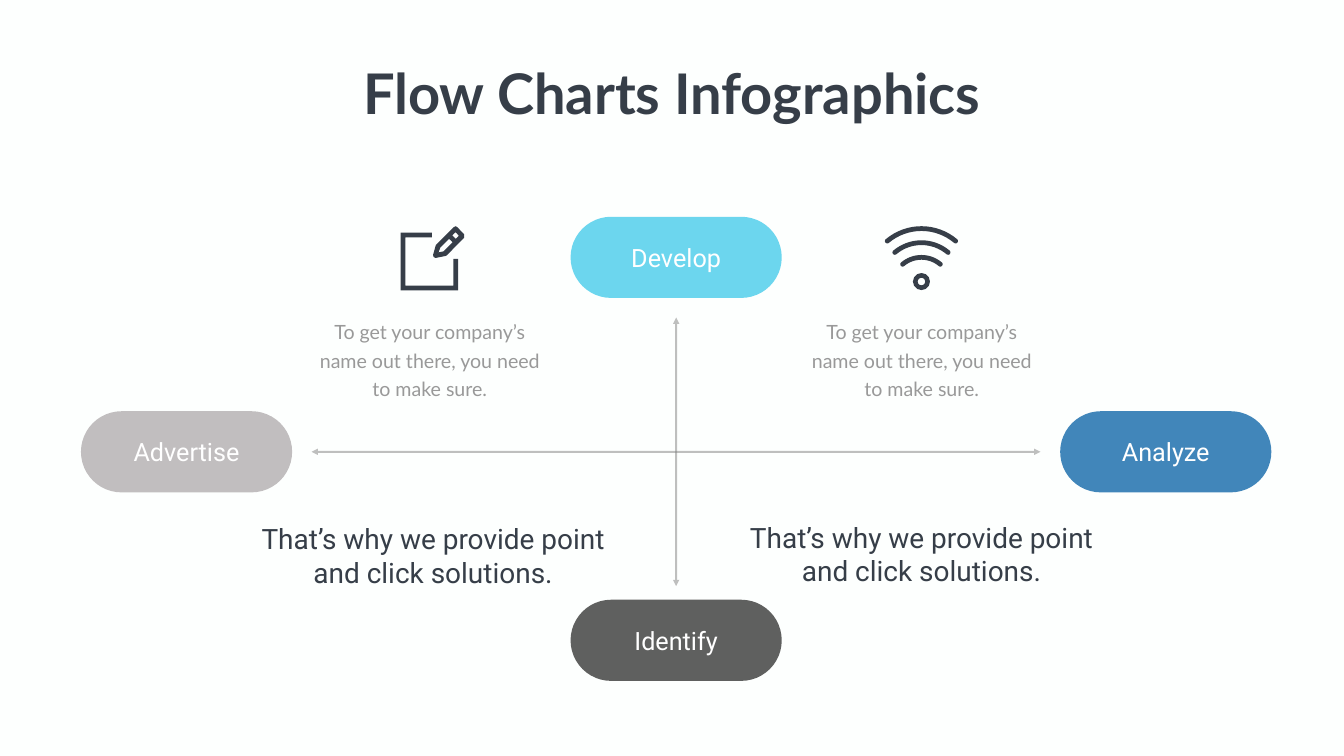
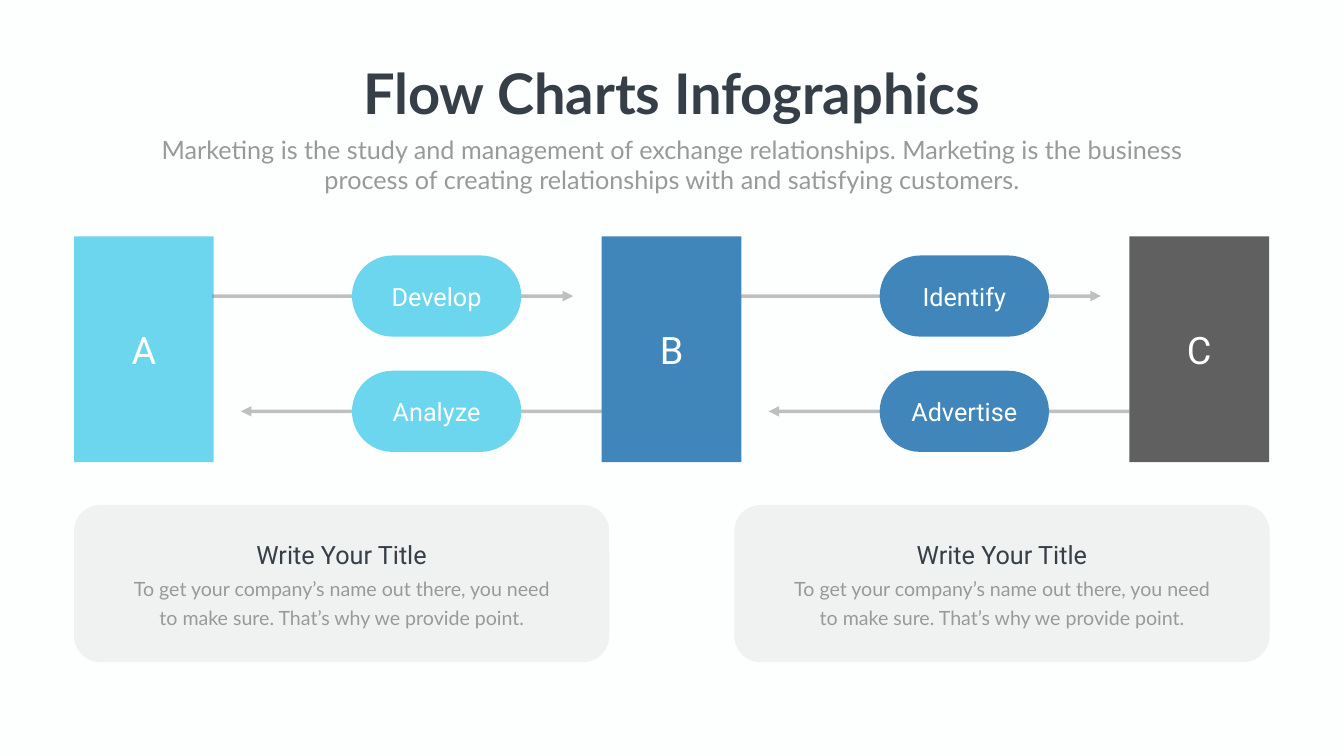
from math import cos, pi, sin

from lxml.etree import SubElement
from pptx import Presentation
from pptx.dml.color import RGBColor
from pptx.enum.shapes import MSO_CONNECTOR, MSO_SHAPE
from pptx.enum.text import MSO_ANCHOR, MSO_AUTO_SIZE, PP_ALIGN
from pptx.oxml.ns import qn
from pptx.util import Cm, Pt

# Shared style; all lengths are in centimetres
BACKGROUND = "FDFFFE"
DARK = "363E48"
MUTED = "999999"
WHITE = "FFFFFF"
NEUTRAL = "808080"
CYAN = "6CD6EE"
BLUE = "4186BA"
CHARCOAL = "5F605F"
SILVER = "C1BEBF"
HEADING_FONT = "Lato"
LABEL_FONT = "Roboto"
NOTE_SPACING = 40.8
PILL_HEIGHT = 4.09
STROKE = 0.24


def color(value):
    return RGBColor.from_string(value)


def set_alpha(properties, percent):
    """Make the solid fill inside the given XML element transparent."""
    color_element = properties.find(qn("a:solidFill"))[0]
    SubElement(color_element, qn("a:alpha"), val=str(percent * 1000))


def style_shape(shape, fill):
    shape.shadow.inherit = False
    shape.fill.solid()
    shape.fill.fore_color.rgb = color(fill)
    shape.line.fill.background()


def write(frame, text, size, font, text_color, bold=False, spacing=None):
    paragraph = frame.paragraphs[0]
    paragraph.text = text
    paragraph.alignment = PP_ALIGN.CENTER
    if spacing:
        paragraph.line_spacing = Pt(spacing)
    paragraph.font.size = Pt(size)
    paragraph.font.name = font
    paragraph.font.bold = bold
    paragraph.font.color.rgb = color(text_color)


def add_text(slide, left, top, width, height, text, size, font, text_color,
             bold=False, spacing=None, wrap=True):
    box = slide.shapes.add_textbox(Cm(left), Cm(top), Cm(width), Cm(height))
    box.text_frame.word_wrap = wrap
    box.text_frame.auto_size = MSO_AUTO_SIZE.SHAPE_TO_FIT_TEXT
    write(box.text_frame, text, size, font, text_color, bold, spacing)


def add_block(slide, kind, left, top, width, height, fill, label=None, size=36):
    shape = slide.shapes.add_shape(kind, Cm(left), Cm(top), Cm(width), Cm(height))
    style_shape(shape, fill)
    if label:
        shape.text_frame.vertical_anchor = MSO_ANCHOR.MIDDLE
        write(shape.text_frame, label, size, LABEL_FONT, WHITE)
    return shape


def add_pill(slide, center_x, center_y, width, fill, label):
    pill = add_block(slide, MSO_SHAPE.ROUNDED_RECTANGLE, center_x - width / 2,
                     center_y - PILL_HEIGHT / 2, width, PILL_HEIGHT, fill, label)
    pill.adjustments[0] = 0.5


def add_arrow(slide, start, end, width, both_ends=False):
    arrow = slide.shapes.add_connector(
        MSO_CONNECTOR.STRAIGHT, *(Cm(value) for value in start + end))
    arrow.line.width = Pt(width)
    arrow.line.color.rgb = color(NEUTRAL)
    line = arrow.line._get_or_add_ln()
    set_alpha(line, 50)
    if both_ends:
        SubElement(line, qn("a:headEnd"), type="triangle")
    SubElement(line, qn("a:tailEnd"), type="triangle")
    SubElement(arrow._element.spPr, qn("a:effectLst"))


def add_outline(slide, left, top, contours):
    """Draw closed contours as one dark shape; inner contours are holes."""
    contours = [[(Cm(x), Cm(y)) for x, y in contour] for contour in contours]
    builder = slide.shapes.build_freeform(*contours[0][0], scale=1.0)
    for index, contour in enumerate(contours):
        if index:
            builder.move_to(*contour[0])
        builder.add_line_segments(contour[1:], close=True)
    style_shape(builder.convert_to_shape(Cm(left), Cm(top)), DARK)


def arc_points(center_x, center_y, radius, start, end, steps=16):
    """Points on a circle, with angles measured clockwise from the top."""
    angles = [start + (end - start) * step / steps for step in range(steps + 1)]
    return [(center_x + radius * sin(angle), center_y - radius * cos(angle))
            for angle in angles]


def add_edit_icon(slide, left, top):
    far, inner = 2.9, 2.9 - STROKE
    frame = [(0, 0), (1.57, 0), (1.57, STROKE), (STROKE, STROKE), (STROKE, inner),
             (inner, inner), (inner, 1.32), (far, 1.32), (far, far), (0, far)]
    pencil = [(1.14, 0), (1.22, 0.05), (1.57, 0.41), (1.57, 0.58), (0.69, 1.47),
              (0.64, 1.5), (0.13, 1.6), (0.03, 1.55), (0, 1.45), (0.13, 0.99),
              (0.15, 0.94), (1.04, 0.05)]
    eraser_hole = [(1.14, 0.64), (0.97, 0.46), (1.14, 0.3), (1.3, 0.48)]
    body_hole = [(0.53, 1.27), (0.28, 1.32), (0.36, 1.09), (0.81, 0.64), (0.99, 0.81)]
    add_outline(slide, left, top, [frame])
    add_outline(slide, left + 1.63, top - 0.33, [pencil, eraser_hole, body_hole])


def add_signal_icon(slide, center_x, top):
    spread, half = 0.7, STROKE / 2
    for offset, radius in ((0, 2.67), (0.71, 2.08), (1.45, 1.47)):
        center_y = half + offset + radius
        left_end, right_end = arc_points(0, center_y, radius, -spread, spread, 1)
        band = (arc_points(0, center_y, radius + half, -spread, spread)
                + arc_points(*right_end, half, spread, spread + pi)
                + arc_points(0, center_y, radius - half, spread, -spread)
                + arc_points(*left_end, half, pi - spread, 2 * pi - spread))
        add_outline(slide, center_x, top, [band])
    ring_size = 0.86
    ring = add_block(slide, MSO_SHAPE.DONUT, center_x - ring_size / 2, top + 2.36,
                     ring_size, ring_size, DARK)
    ring.adjustments[0] = STROKE / ring_size


def add_slide(presentation):
    """Start a blank slide with the shared background and title."""
    slide = presentation.slides.add_slide(presentation.slide_layouts[6])
    slide.background.fill.solid()
    slide.background.fill.fore_color.rgb = color(BACKGROUND)
    add_text(slide, 17.73, 2.84, 32.26, 3.68, "Flow Charts Infographics", 80,
             HEADING_FONT, DARK, bold=True, wrap=False)
    return slide


def build_axes_slide(presentation):
    slide = add_slide(presentation)
    center_x, center_y = 34.07, 22.77

    # Crossing arrows with a pill at each end
    add_arrow(slide, (center_x, 16), (center_x, 29.54), 3, both_ends=True)
    add_arrow(slide, (15.7, center_y), (52.43, center_y), 3, both_ends=True)
    for x, y, fill, label in (
            (center_x, 12.97, CYAN, "Develop"),
            (center_x, 32.27, CHARCOAL, "Identify"),
            (center_x + 24.67, center_y, BLUE, "Analyze"),
            (center_x - 24.67, center_y, SILVER, "Advertise")):
        add_pill(slide, x, y, 10.64, fill, label)

    # Icons and texts in the four quadrants
    add_edit_icon(slide, 20.19, 11.73)
    add_signal_icon(slide, 46.43, 11.4)
    for left in (15.37, 40.16):
        add_text(slide, left, 15.75, 12.57, 4.5,
                 "To get your company’s name out there, you need to make sure.",
                 28, HEADING_FONT, MUTED, spacing=NOTE_SPACING)
    for left, top in ((37.03, 26.09), (12.42, 26.16)):
        add_text(slide, left, top, 18.8, 3.68,
                 "That’s why we provide point and click solutions.",
                 40, LABEL_FONT, DARK)


def build_exchange_slide(presentation):
    slide = add_slide(presentation)
    add_text(slide, 7.42, 6.63, 52.88, 3.33,
             "Marketing is the study and management of exchange relationships. "
             "Marketing is the business process of creating relationships with "
             "and satisfying customers.", 36, HEADING_FONT, MUTED)

    # Lettered columns
    first_left, column_step = 3.73, 26.59
    for index, (letter, fill) in enumerate(
            (("A", CYAN), ("B", BLUE), ("C", CHARCOAL))):
        add_block(slide, MSO_SHAPE.RECTANGLE, first_left + index * column_step,
                  11.91, 7.04, 11.38, fill, letter, 54)

    # Arrows there and back between neighbouring columns
    forward_y, back_y = 14.92, 20.73
    for index, (forward, back, fill) in enumerate(
            (("Develop", "Analyze", CYAN), ("Identify", "Advertise", BLUE))):
        shift = index * column_step
        for y, start, end, label in ((forward_y, 10.69, 28.88, forward),
                                     (back_y, 30.33, 12.14, back)):
            add_arrow(slide, (start + shift, y), (end + shift, y), 5)
            add_pill(slide, 22 + shift, y, 8.53, fill, label)

    # Text cards
    for left in (first_left, 37):
        card = add_block(slide, MSO_SHAPE.ROUNDED_RECTANGLE, left, 25.45,
                         26.97, 7.92, NEUTRAL)
        set_alpha(card._element.spPr, 10)
        add_text(slide, left + 2.63, 28.7, 21.72, 3.02,
                 "To get your company’s name out there, you need to make sure. "
                 "That’s why we provide point.",
                 28, HEADING_FONT, MUTED, spacing=NOTE_SPACING)
        add_text(slide, left + 6.22, 27.05, 14.53, 1.8, "Write Your Title",
                 36, LABEL_FONT, DARK)


def main():
    presentation = Presentation()
    presentation.slide_width = Cm(67.72)
    presentation.slide_height = Cm(38.1)
    build_axes_slide(presentation)
    build_exchange_slide(presentation)
    presentation.save("out.pptx")


if __name__ == "__main__":
    main()
